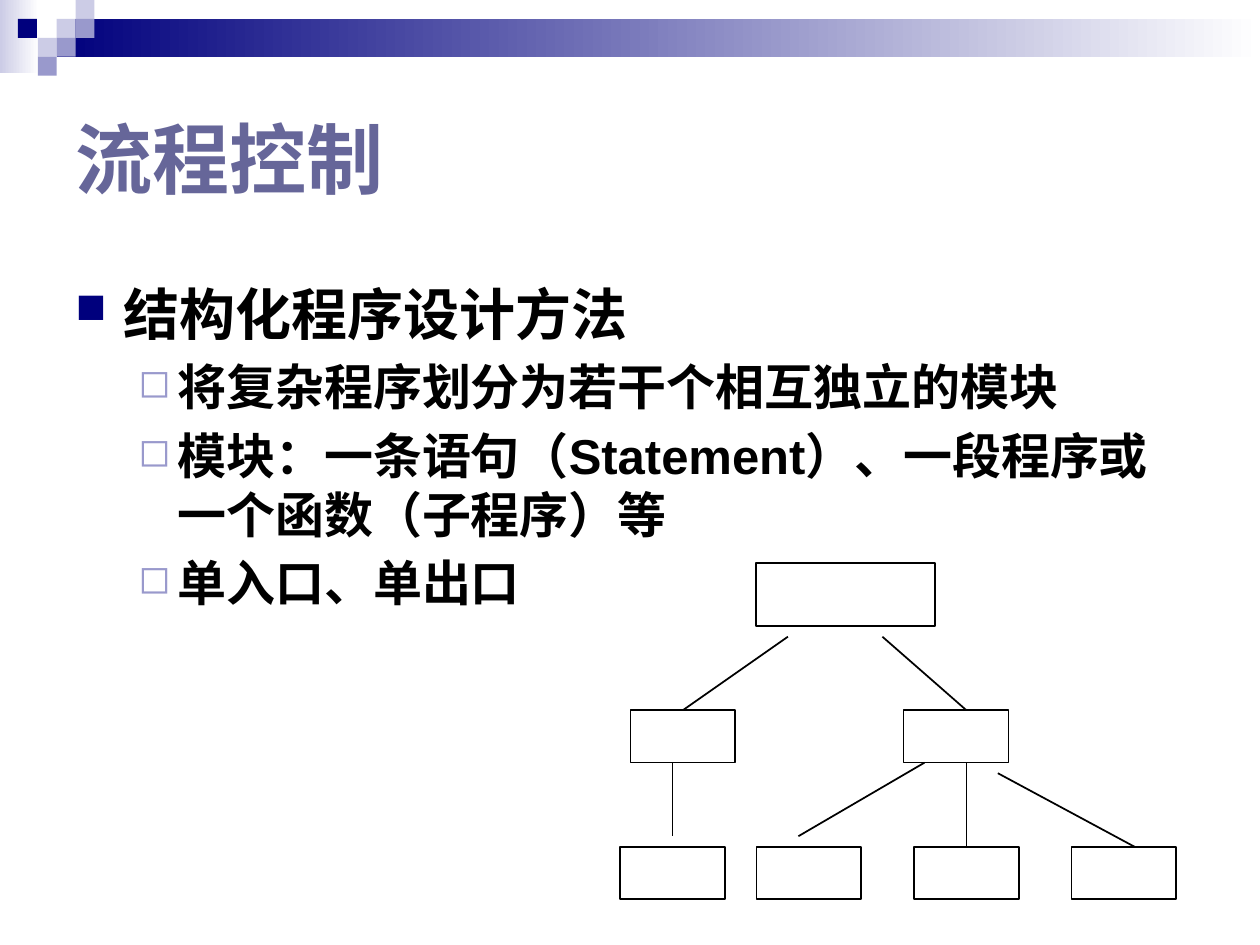
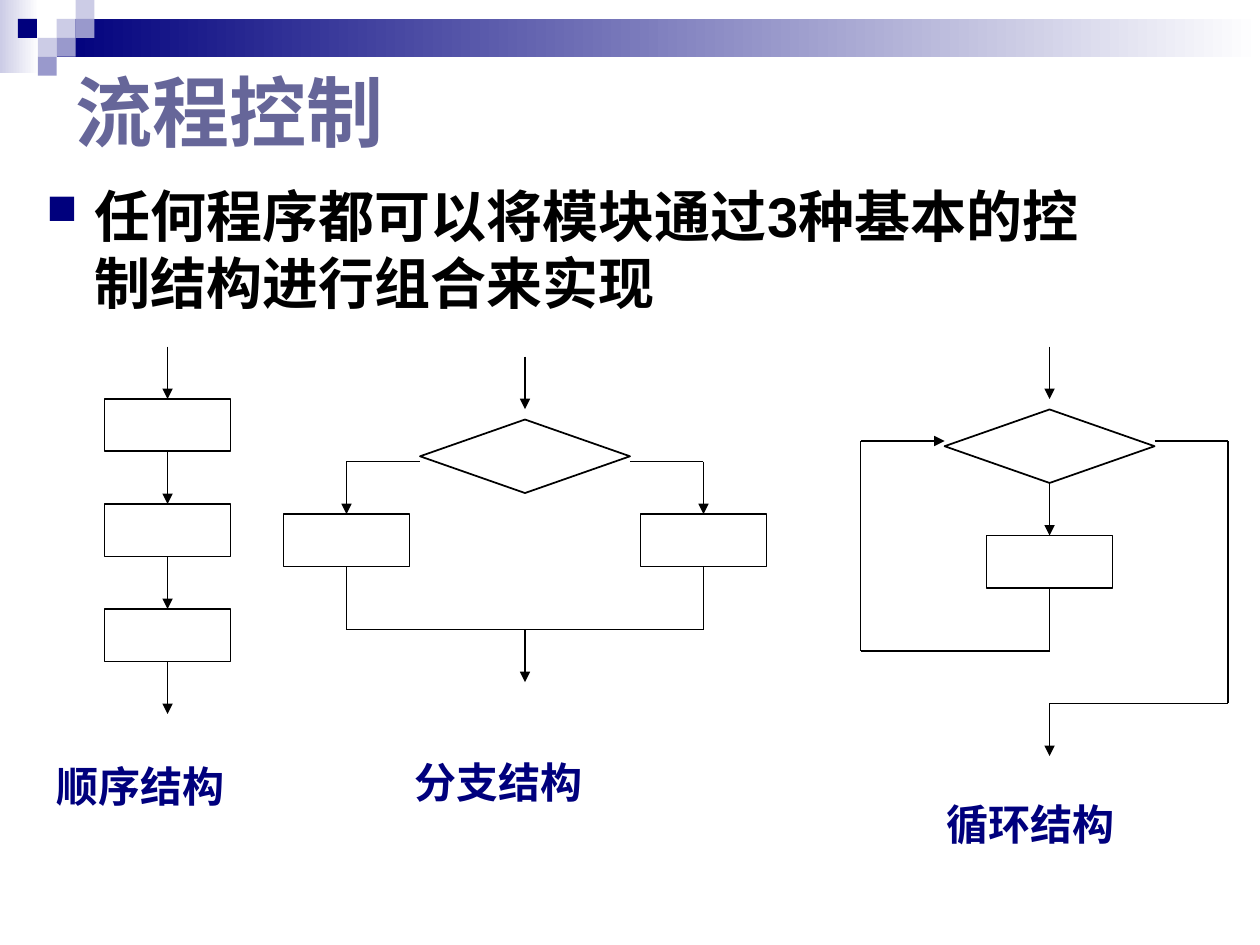
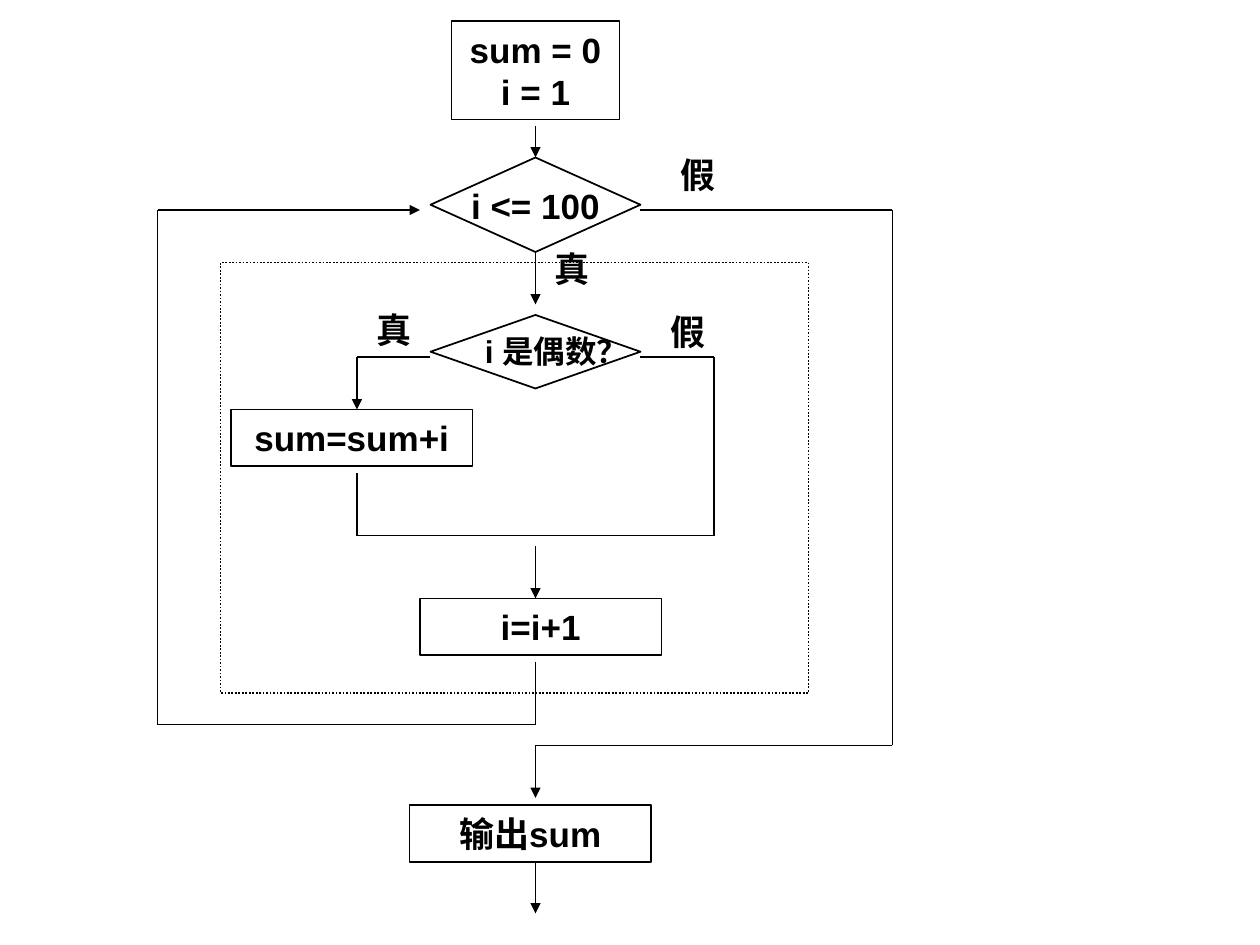
import dataclasses
import itertools

import lxml.etree
import pptx
import pptx.dml.color
import pptx.enum.dml
import pptx.enum.shapes
import pptx.enum.text
import pptx.oxml.ns
import pptx.util

Inches = pptx.util.Inches
Pt = pptx.util.Pt
Shape = pptx.enum.shapes.MSO_SHAPE
Align = pptx.enum.text.PP_ALIGN
Anchor = pptx.enum.text.MSO_ANCHOR


@dataclasses.dataclass(frozen=True)
class Theme:
    navy: str = "00007D"
    lavender: str = "9999CC"
    pale: str = "CCCCE6"
    title: str = "666699"
    ink: str = "000000"
    white: str = "FFFFFF"
    latin: str = "Arial"
    asian: str = "Noto Sans CJK SC"
    title_size: int = 44
    body_size: int = 32
    sub_size: int = 28
    caption_size: int = 24
    step_size: int = 20
    small_size: int = 18
    line_width: int = 1


THEME = Theme()


def rgb(color):
    return pptx.dml.color.RGBColor.from_string(color)


def add_child(parent, tag, **attributes):
    return lxml.etree.SubElement(parent, pptx.oxml.ns.qn(tag), attributes)


def style_runs(para, size, color, font=THEME.latin):
    for run in para.runs:
        run.font.size = Pt(size)
        run.font.bold = True
        run.font.name = font
        run.font.color.rgb = rgb(color)
        add_child(run.font._element, "a:ea", typeface=THEME.asian)


def add_text(page, box, text, size, color=THEME.ink, font=THEME.latin, align=Align.CENTER):
    frame = page.shapes.add_textbox(*map(Inches, box)).text_frame
    frame.word_wrap = True
    frame.text = text
    para = frame.paragraphs[0]
    para.alignment = align
    style_runs(para, size, color, font)
    return para


class Diagram:
    UNIT = 1 / 12

    def __init__(self, page, left, top):
        self.page, self.left, self.top = page, left, top

    def point(self, column, row):
        return self.left + column * self.UNIT, self.top + row * self.UNIT

    def frame(self, column, row, width, height):
        return *self.point(column, row), width * self.UNIT, height * self.UNIT

    def block(self, column, row, width, height, text="", kind=Shape.RECTANGLE):
        box = self.frame(column, row, width, height)
        block = self.page.shapes.add_shape(kind, *map(Inches, box))
        block.shadow.inherit = False
        block.fill.background()
        block.line.color.rgb = rgb(THEME.ink)
        block.line.width = Pt(THEME.line_width)
        if text:
            block.text_frame.text = text
            for para in block.text_frame.paragraphs:
                para.alignment = Align.CENTER
                style_runs(para, THEME.step_size, THEME.ink)
        return block

    def diamond(self, column, row, width, height):
        return self.block(column, row, width, height, kind=Shape.DIAMOND)

    def label(self, column, row, width, height, text, size=THEME.step_size):
        add_text(self.page, self.frame(column, row, width, height), text, size)

    def route(self, *points, arrow=False):
        for start, end in itertools.pairwise(points):
            ends = map(Inches, self.point(*start) + self.point(*end))
            line = self.page.shapes.add_connector(pptx.enum.shapes.MSO_CONNECTOR.STRAIGHT, *ends)
            line.line.color.rgb = rgb(THEME.ink)
            line.line.width = Pt(THEME.line_width)
            properties = line.element.spPr
            if arrow and end == points[-1]:
                add_child(properties.find(pptx.oxml.ns.qn("a:ln")), "a:tailEnd", type="triangle")
            add_child(properties, "a:effectLst")

    def arrow(self, *points):
        self.route(*points, arrow=True)


def add_header(page):
    cell = 0.15
    bands = [
        ((0, 0, 0.31, 0.58), THEME.pale, THEME.white),
        ((0.45, cell, 9.55, 2 * cell), THEME.navy, THEME.white),
    ]
    tiles = [
        (3, 1, THEME.pale), (4, 0, THEME.pale), (4, 1, THEME.lavender), (2, 2, THEME.pale),
        (0.95, 1, THEME.navy), (3, 2, THEME.lavender), (2, 3, THEME.lavender),
    ]
    bands += [((column * cell, row * cell, cell, cell), color, None) for column, row, color in tiles]
    for box, color, fade in bands:
        band = page.shapes.add_shape(Shape.RECTANGLE, *map(Inches, box))
        band.shadow.inherit = False
        band.line.fill.background()
        if fade:
            band.fill.gradient()
            band.fill.gradient_angle = 0
            for stop, shade in zip(band.fill.gradient_stops, (color, fade)):
                stop.color.rgb = rgb(shade)
        else:
            band.fill.solid()
            band.fill.fore_color.rgb = rgb(color)


def add_titled_page(deck, title, top):
    page = deck.slides.add_slide(deck.slide_layouts[5])
    add_header(page)
    box = page.shapes.title
    box.left, box.top, box.width, box.height = map(Inches, (0.5, top, 9, 1.5))
    box.text_frame.text = title
    box.text_frame.auto_size = pptx.enum.text.MSO_AUTO_SIZE.NONE
    box.text_frame.vertical_anchor = Anchor.MIDDLE
    para = box.text_frame.paragraphs[0]
    para.alignment = Align.LEFT
    style_runs(para, THEME.title_size, THEME.title)
    return page


def add_bullets(page, box, items):
    levels = [
        (THEME.body_size, 0.38, 0.38, "■", THEME.navy, "75000"),
        (THEME.sub_size, 0.81, 0.31, "◻", THEME.lavender, "80000"),
    ]
    frame = page.shapes.add_textbox(*map(Inches, box)).text_frame
    frame.word_wrap = True
    frame.text = "\n".join(text for level, text in items)
    for index, (para, (level, text)) in enumerate(zip(frame.paragraphs, items)):
        size, margin, hanging, mark, color, scale = levels[level]
        para.level = level
        if index:
            para.space_before = Pt(0.2 * size)
        style_runs(para, size, THEME.ink)
        properties = para._p.get_or_add_pPr()
        properties.set("marL", str(Inches(margin)))
        properties.set("indent", str(-Inches(hanging)))
        add_child(add_child(properties, "a:buClr"), "a:srgbClr", val=color)
        add_child(properties, "a:buSzPct", val=scale)
        add_child(properties, "a:buChar", char=mark)


def draw_module_tree(page, left, top):
    tree = Diagram(page, left, top)
    tree.block(13, 0, 17, 6)
    children = [(column, 14) for column in (1, 27)]
    leaves = [(column, 27) for column in (0, 13, 28, 43)]
    for column, row in children + leaves:
        tree.block(column, row, 10, 5)
    branches = [
        ((16, 7), (6, 14)), ((25, 7), (33, 14)), ((5, 19), (5, 26)),
        ((33, 19), (33, 27)), ((29, 19), (17, 26)), ((36, 20), (49, 27)),
    ]
    for start, end in branches:
        tree.route(start, end)


def draw_sequence(page, left, top):
    flow = Diagram(page, left, top)
    for row in (5, 15, 25):
        flow.block(0, row, 12, 5)
    for row in (0, 10, 20, 30):
        flow.arrow((6, row), (6, row + 5))


def draw_branch(page, left, top):
    flow = Diagram(page, left, top)
    flow.arrow((23, 0), (23, 5))
    flow.diamond(13, 6, 20, 7)
    for corner, column in ((13, 6), (33, 40)):
        flow.arrow((corner, 10), (column, 10), (column, 15))
        flow.block(column - 6, 15, 12, 5)
    flow.route((6, 20), (6, 26), (40, 26), (40, 20))
    flow.arrow((23, 26), (23, 31))


def draw_loop(page, left, top):
    flow = Diagram(page, left, top)
    flow.arrow((18, 0), (18, 5))
    flow.diamond(8, 6, 20, 7)
    flow.arrow((18, 13), (18, 18))
    flow.block(12, 18, 12, 5)
    flow.arrow((18, 23), (18, 29), (0, 29), (0, 9), (8, 9))
    flow.arrow((28, 9), (35, 9), (35, 34), (18, 34), (18, 39))


def add_caption(page, left, top, text):
    para = add_text(page, (left, top, 1.92, 0.42), text, THEME.caption_size,
                    THEME.navy, THEME.asian, Align.LEFT)
    para.line_spacing = 0.9


def draw_even_sum(page, left, top):
    flow = Diagram(page, left, top)
    flow.block(28, 2, 16, 9.4, "sum = 0\ni = 1")
    flow.arrow((36, 12), (36, 15))
    flow.diamond(26, 15, 20, 9)
    flow.label(26, 17, 20, 5.2, "i <= 100")
    flow.arrow((36, 24), (36, 29))
    loop_body = flow.block(6, 25, 56, 41)
    loop_body.line.dash_style = pptx.enum.dml.MSO_LINE.ROUND_DOT
    flow.diamond(26, 30, 20, 7)
    flow.label(28, 31, 20, 4.8, "i 是偶数？", THEME.small_size)
    flow.arrow((26, 34), (19, 34), (19, 39))
    flow.route((46, 34), (53, 34), (53, 51), (19, 51), (19, 45))
    flow.arrow((36, 52), (36, 57))
    flow.arrow((36, 63), (36, 69), (0, 69), (0, 20), (25, 20))
    flow.arrow((46, 20), (70, 20), (70, 71), (36, 71), (36, 76))
    flow.arrow((36, 82), (36, 87))
    for column, row, text in ((7, 39, "sum=sum+i"), (25, 57, "i=i+1"), (24, 76.7, "输出sum")):
        flow.block(column, row, 23, 5.4, text)
    for column, row, text in ((36, 23, "真"), (19, 28.8, "真"), (47, 29, "假"), (48, 14, "假")):
        flow.label(column, row, 7, 5.2, text)


def build_method_page(deck):
    page = add_titled_page(deck, "流程控制", 0.5)
    add_bullets(page, (0.5, 2.17, 9, 4.25), [
        (0, "结构化程序设计方法"),
        (1, "将复杂程序划分为若干个相互独立的模块"),
        (1, "模块：一条语句（Statement）、一段程序或一个函数（子程序）等"),
        (1, "单入口、单出口"),
    ])
    draw_module_tree(page, 4.92, 4.47)


def build_structures_page(deck):
    page = add_titled_page(deck, "流程控制", 0.13)
    add_bullets(page, (0.27, 1.39, 8.83, 1.27), [
        (0, "任何程序都可以将模块通过3种基本的控制结构进行组合来实现"),
    ])
    draw_sequence(page, 0.83, 2.75)
    draw_branch(page, 2.25, 2.83)
    draw_loop(page, 6.83, 2.75)
    add_caption(page, 0.35, 6.03, "顺序结构")
    add_caption(page, 3.19, 6, "分支结构")
    add_caption(page, 7.41, 6.33, "循环结构")


def build_example_page(deck):
    page = deck.slides.add_slide(deck.slide_layouts[6])
    draw_even_sum(page, 1.25, 0)


def main():
    deck = pptx.Presentation()
    deck.slide_width, deck.slide_height = Inches(10), Inches(7.5)
    build_method_page(deck)
    build_structures_page(deck)
    build_example_page(deck)
    deck.save("out.pptx")


if __name__ == "__main__":
    main()
